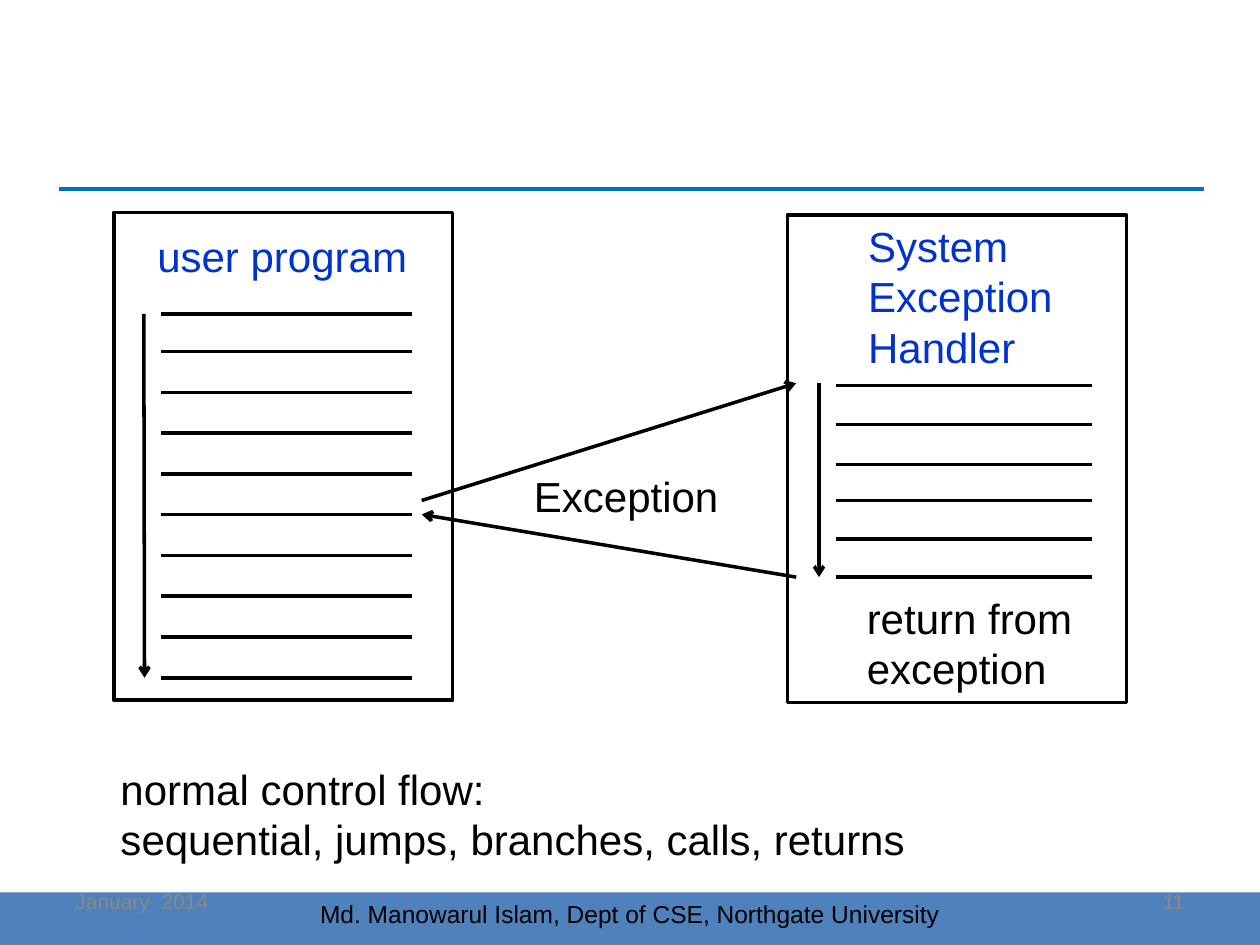
from pptx import Presentation
from pptx.dml.color import RGBColor
from pptx.enum.shapes import MSO_CONNECTOR as CONN, MSO_SHAPE as SHAPE
from pptx.enum.text import MSO_ANCHOR as ANCHOR, PP_ALIGN as ALIGN
from pptx.oxml.ns import qn
from pptx.util import Pt
from lxml.etree import SubElement

BLACK, BLUE, GREY = "000000", "0033CC", "898989"
rgb = RGBColor.from_string


def add_text(sp, text, size=24, color=BLACK, align=ALIGN.LEFT, anchor=ANCHOR.TOP, wrap=False):
    tf = sp.text_frame
    tf.word_wrap = wrap
    tf.vertical_anchor = anchor
    for i, line in enumerate(text.split("\n")):
        p = tf.paragraphs[0] if i == 0 else tf.add_paragraph()
        p.alignment = align
        r = p.add_run()
        r.text = line
        r.font.name = "Arial"
        r.font.size = Pt(size)
        r.font.color.rgb = rgb(color)


def add_line(x1, y1, x2, y2, color=BLACK, width=2, arrow=False):
    ln = s.shapes.add_connector(CONN.STRAIGHT, Pt(x1), Pt(y1), Pt(x2), Pt(y2))
    ln.line.color.rgb = rgb(color)
    ln.line.width = Pt(width)
    if arrow:
        SubElement(ln.line._get_or_add_ln(), qn("a:tailEnd"), type="arrow")
    SubElement(ln._element.spPr, qn("a:effectLst"))


prs = Presentation()
prs.slide_width, prs.slide_height = Pt(720), Pt(540)
s = prs.slides.add_slide(prs.slide_layouts[6])

footer = s.shapes.add_shape(SHAPE.RECTANGLE, 0, Pt(510), Pt(720), Pt(30))
footer.shadow.inherit = False
footer.fill.solid()
footer.fill.fore_color.rgb = rgb("4F81BD")
footer.line.fill.background()
add_text(footer, "Md. Manowarul Islam, Dept of CSE, Northgate University",
         size=14, align=ALIGN.CENTER, wrap=True)
add_line(34, 108, 688, 108, color="0070C0", width=2.25)

for x, y in [(65, 121.5), (450, 122.75)]:
    box = s.shapes.add_shape(SHAPE.RECTANGLE, Pt(x), Pt(y), Pt(193.7), Pt(278.7))
    box.shadow.inherit = False
    box.fill.background()
    box.line.color.rgb = rgb(BLACK)
    box.line.width = Pt(2)

user_rows = [179.3] + [200.9 + 23.3 * i for i in range(9)]
handler_rows = [220.3, 242.6, 265.5, 286, 308, 329.8]
for x1, x2, rows in [(92, 235.3, user_rows), (478, 624.2, handler_rows)]:
    for y in rows:
        add_line(x1, y, x2, y)

for ends in [
    (82.2, 179.3, 82.6, 387.3),
    (468, 219, 468, 329.8),
    (241, 286, 455, 219),
    (455, 329.8, 241, 294),
]:
    add_line(*ends, arrow=True)

for text, x, y, w, h, color in [
    ("user program", 82.8, 128.2, 157, 36, BLUE),
    ("System\nException\nHandler", 489, 122.4, 120, 93.6, BLUE),
    ("Exception", 298, 265.3, 120, 36, BLACK),
    ("return from\nexception", 488.2, 334.8, 132, 64.8, BLACK),
    ("normal control flow:\nsequential, jumps, branches, calls, returns", 61.8, 432.7, 463, 64.8, BLACK),
]:
    add_text(s.shapes.add_textbox(Pt(x), Pt(y), Pt(w), Pt(h)), text, color=color)

for text, x, align in [("January  2014", 36, ALIGN.LEFT), ("11", 516, ALIGN.RIGHT)]:
    tb = s.shapes.add_textbox(Pt(x), Pt(500.5), Pt(168), Pt(28.75))
    add_text(tb, text, size=12, color=GREY, align=align, anchor=ANCHOR.MIDDLE, wrap=True)

prs.save("out.pptx")
